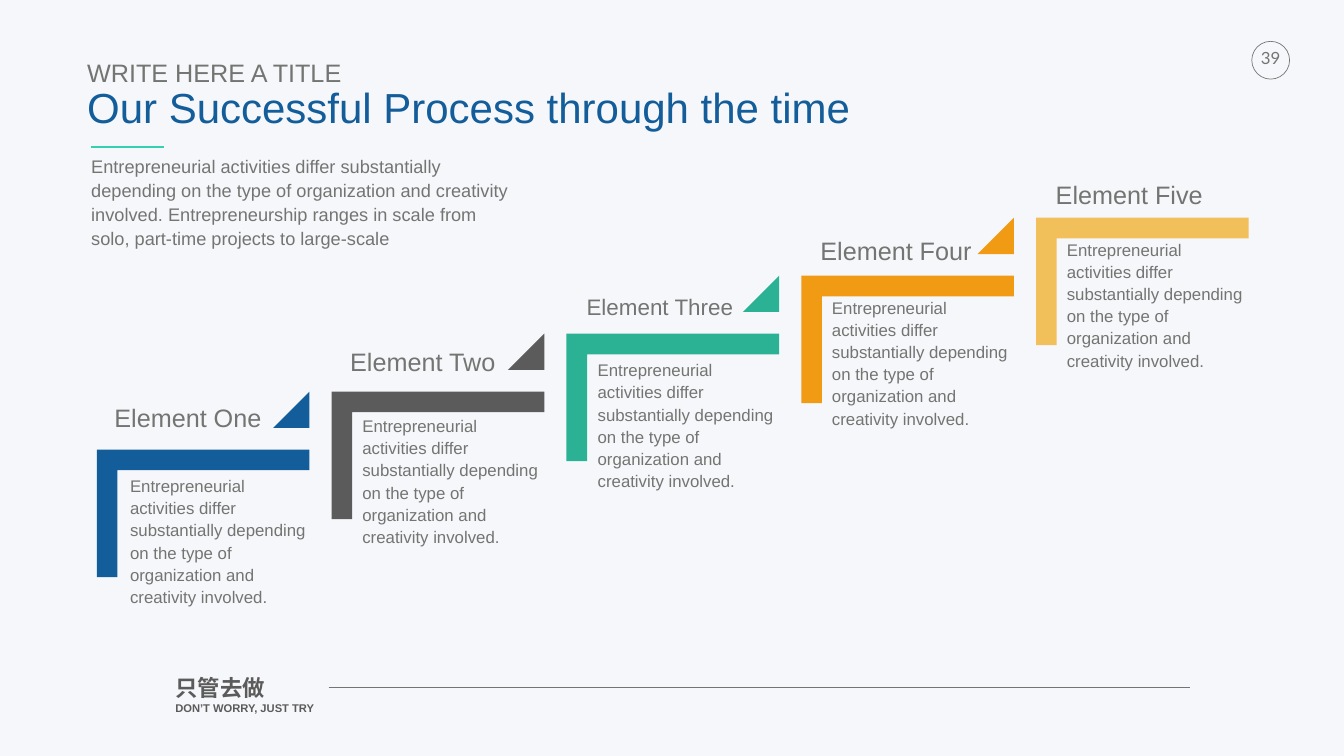
from pptx import Presentation
from pptx.dml.color import RGBColor
from pptx.enum.shapes import MSO_CONNECTOR, MSO_SHAPE
from pptx.enum.text import MSO_ANCHOR, PP_ALIGN
from pptx.oxml.ns import qn
from pptx.util import Inches, Pt
from lxml import etree

LINE = MSO_CONNECTOR.STRAIGHT
OVAL = MSO_SHAPE.OVAL
TOP, MIDDLE = MSO_ANCHOR.TOP, MSO_ANCHOR.MIDDLE
LEFT, CENTER = PP_ALIGN.LEFT, PP_ALIGN.CENTER

PALE = RGBColor(0xF6, 0xF7, 0xFA)
GRAY = RGBColor(0x73, 0x75, 0x72)
DARK = RGBColor(0x5B, 0x5B, 0x5B)
BLUE = RGBColor(0x13, 0x5D, 0x9A)
GREEN = RGBColor(0x2B, 0xB2, 0x94)
MINT = RGBColor(0x33, 0xD1, 0xAD)
ORANGE = RGBColor(0xF1, 0x9A, 0x14)
GOLD = RGBColor(0xF1, 0xC0, 0x5A)

INTRO = ("Entrepreneurial activities differ substantially depending on the "
         "type of organization and creativity involved. Entrepreneurship "
         "ranges in scale from solo, part-time projects to large-scale")
BODY = ("Entrepreneurial activities differ substantially depending on the "
        "type of organization and creativity involved.")

# Label, its size, colour, label left and top, body left and top
STEPS = [
    ("Element One", 36, BLUE, 2.22, 7.93, 2.58, 9.41),
    ("Element Two", 36, DARK, 6.9, 6.83, 7.19, 8.22),
    ("Element Three", 32, GREEN, 11.59, 5.77, 11.86, 7.11),
    ("Element Four", 36, ORANGE, 16.23, 4.62, 16.51, 5.87),
    ("Element Five", 36, GOLD, 20.9, 3.51, 21.17, 4.72),
]
STEP_X, STEP_Y = 4.66, 1.15
WIDE, TALL, THICK, WEDGE = 4.22, 2.53, 0.41, 0.72


def set_text(frame, lines, inset, anchor=TOP, space=1.0, align=LEFT):
    """Fill a frame with (text, size, colour, bold) lines."""
    frame.word_wrap = True
    frame.vertical_anchor = anchor
    frame.margin_left = frame.margin_right = Inches(inset)
    frame.margin_top = frame.margin_bottom = Inches(inset)
    for i, (text, size, color, bold) in enumerate(lines):
        para = frame.add_paragraph() if i else frame.paragraphs[0]
        para.text = text
        para.alignment = align
        para.line_spacing = space
        font = para.font
        font.name, font.size, font.bold = "Arial", Pt(size), bold
        font.color.rgb = color


def add_text(slide, box, lines, inset=0.05, anchor=TOP, space=1.0):
    shape = slide.shapes.add_textbox(*map(Inches, box))
    set_text(shape.text_frame, lines, inset, anchor, space)


def add_line(slide, x1, x2, y, color, width):
    line = slide.shapes.add_connector(
        LINE, Inches(x1), Inches(y), Inches(x2), Inches(y))
    line.line.color.rgb = color
    line.line.width = Pt(width)
    etree.SubElement(line._element.spPr, qn("a:effectLst"))


def add_form(slide, points, color):
    start, *rest = [(Inches(x), Inches(y)) for x, y in points]
    pen = slide.shapes.build_freeform(*start)
    pen.add_line_segments(rest, close=True)
    shape = pen.convert_to_shape()
    shape.shadow.inherit = False
    shape.fill.solid()
    shape.fill.fore_color.rgb = color
    shape.line.fill.background()


def add_step(slide, i, step):
    label, size, color, label_x, label_y, body_x, body_y = step
    x, y = 1.92 + i * STEP_X, 8.92 - i * STEP_Y
    right = x + WIDE
    # Corner bracket
    add_form(slide, [(x, y), (right, y), (right, y + THICK),
                     (x + THICK, y + THICK), (x + THICK, y + TALL),
                     (x, y + TALL)], color)
    # Wedge leading up to the next step
    if i < len(STEPS) - 1:
        peak = y - STEP_Y
        base = peak + WEDGE
        add_form(slide, [(right - WEDGE, base), (right, peak),
                         (right, base)], color)
    add_text(slide, (label_x, label_y, 3.4, 0.7),
             [(label, size, GRAY, False)])
    add_text(slide, (body_x, body_y, 3.61, 2.62),
             [(BODY, 24, GRAY, False)], 0, MIDDLE, 1.1)


def add_badge(slide, number):
    badge = slide.shapes.add_shape(
        OVAL, Inches(24.84), Inches(0.82), Inches(0.75), Inches(0.75))
    badge.shadow.inherit = False
    badge.fill.background()
    badge.line.color.rgb = GRAY
    badge.line.width = Pt(1)
    frame = badge.text_frame
    set_text(frame, [(number, 24, GRAY, False)], 0, MIDDLE, align=CENTER)
    frame.margin_bottom = Inches(0.08)
    frame.word_wrap = False
    frame.paragraphs[0].font.name = "Lato"


def add_title(slide):
    title = slide.shapes.title
    title.left, title.top = Inches(1.68), Inches(1.15)
    title.width, title.height = Inches(15.6), Inches(1.64)
    set_text(title.text_frame, [
        ("WRITE HERE A TITLE", 36, GRAY, False),
        ("Our Successful Process through the time", 60, BLUE, False),
    ], 0.05, space=0.9)


def main():
    deck = Presentation()
    deck.slide_width, deck.slide_height = Inches(26.67), Inches(15)
    slide = deck.slides.add_slide(deck.slide_layouts[5])
    slide.background.fill.solid()
    slide.background.fill.fore_color.rgb = PALE

    # Heading and introduction
    add_title(slide)
    add_line(slide, 1.81, 3.25, 2.92, MINT, 3)
    add_text(slide, (1.81, 3.06, 8.51, 1.85),
             [(INTRO, 26, GRAY, False)], 0, MIDDLE, 1.1)
    add_badge(slide, "39")

    # Rising steps
    for i, step in enumerate(STEPS):
        add_step(slide, i, step)

    # Footer
    add_text(slide, (3.43, 13.33, 3.99, 0.99), [
        ("只管去做", 32, DARK, True),
        ("DON’T WORRY, JUST TRY", 16, DARK, True),
    ])
    add_line(slide, 6.52, 23.62, 13.64, GRAY, 0.25)

    deck.save("out.pptx")


if __name__ == "__main__":
    main()
